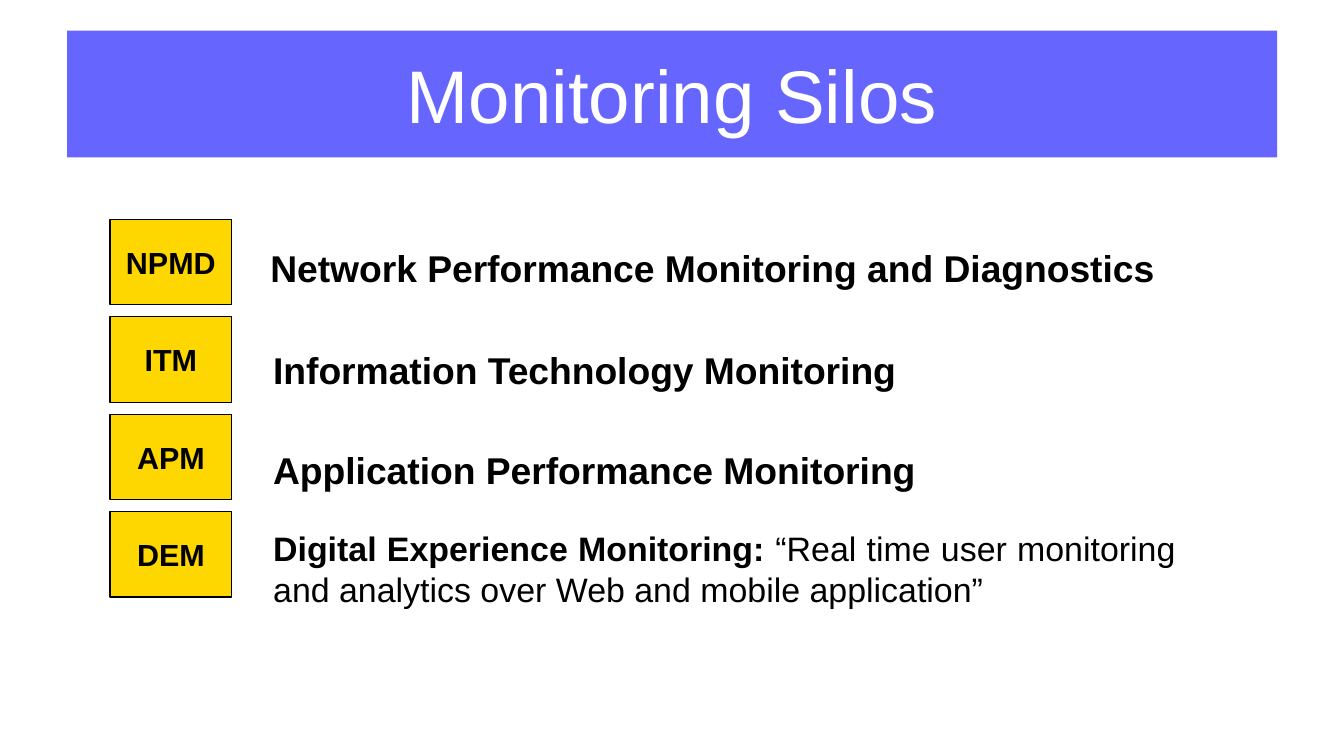
"""Build the Monitoring Silos slide."""
from pptx import Presentation
from pptx.dml.color import RGBColor
from pptx.enum.shapes import MSO_SHAPE
from pptx.enum.text import MSO_ANCHOR, PP_ALIGN
from pptx.util import Cm, Pt

COLORS = {"banner": "6666FF", "badge": "FFD700", "ink": "000000", "light": "FFFFFF"}
BADGE_LEFT, BADGE_TOP, BADGE_PITCH = 2.29, 4.57, 2.03
BADGE_WIDTH, BADGE_HEIGHT = 2.54, 1.78
MEANING_WIDTH = 19.3
SILOS = [
    ("NPMD", 5.38, 4.98, 1.12, 22, "Network Performance Monitoring and Diagnostics", ""),
    ("ITM", 5.44, 7.11, 1.12, 22, "Information Technology Monitoring", ""),
    ("APM", 5.44, 9.19, 1.12, 22, "Application Performance Monitoring", ""),
    ("DEM", 5.44, 10.87, 1.83, 20, "Digital Experience Monitoring: ",
     "“Real time user monitoring and analytics over Web and mobile application”"),
]


def color(name):
    """Return the named colour."""
    return RGBColor.from_string(COLORS[name])


def apply_format(target, values):
    """Set each format value on the target."""
    for name, value in values.items():
        setattr(target, name, value)


def add_words(paragraph, words, size, ink="ink", bold=True):
    """Append a formatted run to the paragraph."""
    run = paragraph.add_run()
    run.text = words
    apply_format(run.font, {"name": "Arial", "size": Pt(size), "bold": bold})
    run.font.color.rgb = color(ink)


def add_block(slide, bounds, fill, frame_format):
    """Add a filled rectangle and return it with its centred paragraph."""
    block = slide.shapes.add_shape(MSO_SHAPE.RECTANGLE, *map(Cm, bounds))
    block.shadow.inherit = False
    block.fill.solid()
    block.fill.fore_color.rgb = color(fill)
    apply_format(block.text_frame, {"vertical_anchor": MSO_ANCHOR.MIDDLE, **frame_format})
    paragraph = block.text_frame.paragraphs[0]
    paragraph.alignment = PP_ALIGN.CENTER
    return block, paragraph


def add_banner(slide, title):
    """Add the title banner."""
    margins = {f"margin_{side}": 0 for side in ("left", "top", "right", "bottom")}
    banner, heading = add_block(slide, (1.4, 0.64, 25.2, 2.64), "banner",
                                {"word_wrap": True, **margins})
    banner.line.fill.background()
    add_words(heading, title, 44, "light", False)


def add_badge(slide, row, acronym):
    """Add the acronym badge for a row."""
    bounds = BADGE_LEFT, BADGE_TOP + row * BADGE_PITCH, BADGE_WIDTH, BADGE_HEIGHT
    badge, label = add_block(slide, bounds, "badge", {"word_wrap": False})
    badge.line.color.rgb = color("ink")
    badge.line.width = Pt(0)
    add_words(label, acronym, 18)


def add_meaning(slide, left, top, height, size, term, quote):
    """Add the full name of a silo and its optional quotation."""
    bounds = left, top, MEANING_WIDTH, height
    meaning = slide.shapes.add_textbox(*map(Cm, bounds)).text_frame
    meaning.word_wrap = True
    paragraph = meaning.paragraphs[0]
    add_words(paragraph, term, size)
    if quote:
        paragraph.alignment = PP_ALIGN.JUSTIFY
        add_words(paragraph, quote, size, bold=False)


def main():
    """Assemble and save the slide."""
    deck = Presentation()
    apply_format(deck, {"slide_width": Cm(27.99), "slide_height": Cm(15.75)})
    slide = deck.slides.add_slide(deck.slide_layouts[6])
    add_banner(slide, "Monitoring Silos")
    for row, (acronym, *meaning) in enumerate(SILOS):
        add_badge(slide, row, acronym)
        add_meaning(slide, *meaning)
    deck.save("out.pptx")


if __name__ == "__main__":
    main()
